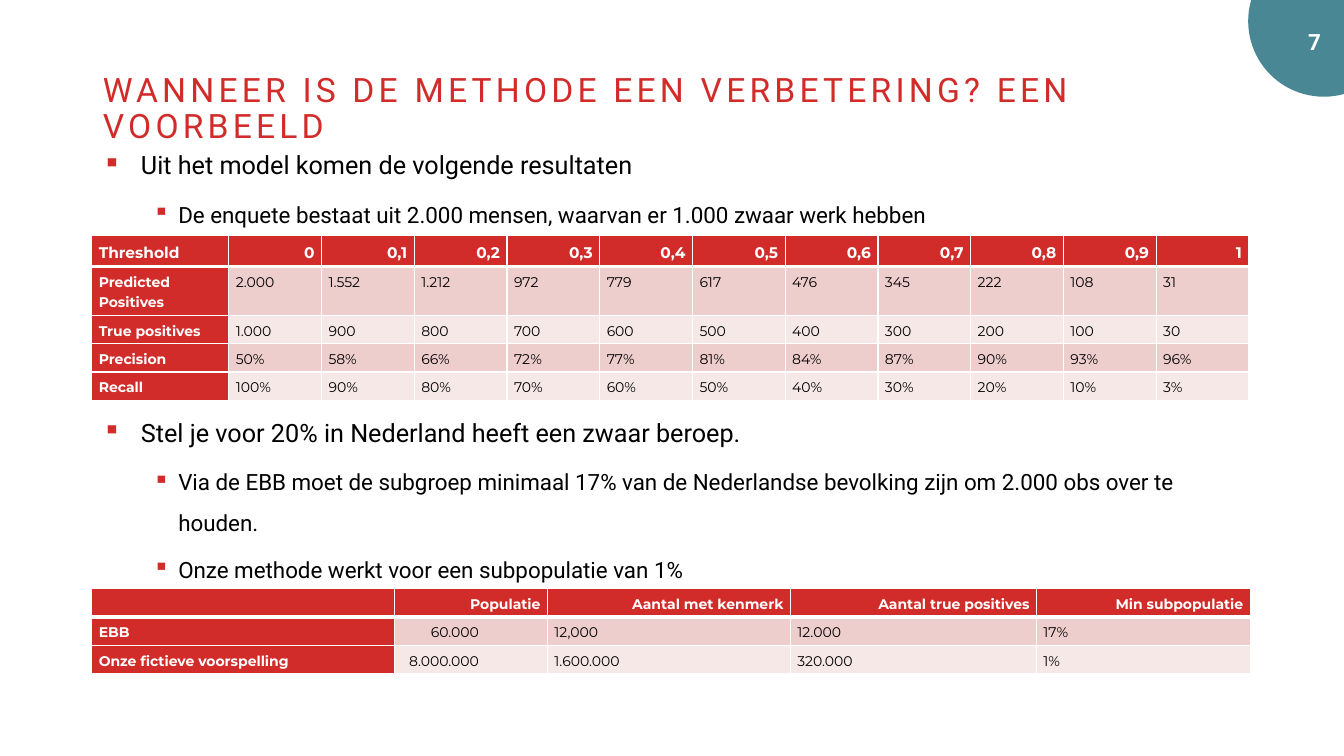
from lxml import etree
from pptx import Presentation
from pptx import util as u
from pptx.dml import color
from pptx.enum import shapes, text
from pptx.oxml import ns

RED, TEAL, WHITE, BLACK = "D22C2A", "498794", "FEFFFE", "000000"
BANDS = ("EECDCD", "F7E8E8")
ALIGN = text.PP_ALIGN


def rgb(hex_code):
    return color.RGBColor.from_string(hex_code)


def apply(target, values):
    for name, value in values.items():
        setattr(target, name, value)


def child(parent, tag, **attributes):
    return etree.SubElement(parent, ns.qn(tag), attributes)


class SlideBuilder:
    frame_format = {"word_wrap": True, "auto_size": text.MSO_AUTO_SIZE.NONE,
                    "vertical_anchor": text.MSO_ANCHOR.TOP}
    cell_margins = {"margin_left": u.Inches(0.07), "margin_right": u.Inches(0.07),
                    "margin_top": u.Inches(0.04), "margin_bottom": u.Inches(0.04)}

    def __init__(self, slide):
        self.slide = slide
        self.fill(slide.background, WHITE)

    def fill(self, target, hex_code):
        target.fill.solid()
        target.fill.fore_color.rgb = rgb(hex_code)

    def run(self, paragraph, words, size, hex_code, font="Roboto", bold=False, spacing=0):
        run = paragraph.add_run()
        run.text = words
        apply(run.font, {"size": u.Pt(size), "name": font, "bold": bold})
        run.font.color.rgb = rgb(hex_code)
        if spacing:
            run.font._element.set("spc", str(int(spacing * 100)))

    def text_box(self, left, top, width, height):
        box = self.slide.shapes.add_textbox(*map(u.Inches, (left, top, width, height)))
        apply(box.text_frame, self.frame_format)
        return box.text_frame

    def title(self, words, left, top, width, height):
        title = self.slide.shapes.title
        apply(title, {"left": u.Inches(left), "top": u.Inches(top),
                      "width": u.Inches(width), "height": u.Inches(height)})
        apply(title.text_frame, self.frame_format)
        paragraph = title.text_frame.paragraphs[0]
        apply(paragraph, {"alignment": ALIGN.LEFT, "line_spacing": 0.9,
                          "space_before": u.Pt(0)})
        self.run(paragraph, words, 24, RED, spacing=3)

    def page_number(self, number):
        circle = self.slide.shapes.add_shape(
            shapes.MSO_SHAPE.OVAL, u.Inches(12.38), u.Inches(-0.54), u.Inches(1.5), u.Inches(1.5))
        circle.shadow.inherit = False
        self.fill(circle, TEAL)
        circle.line.fill.background()
        paragraph = self.text_box(11.39, 0.23, 1.81, 0.37).paragraphs[0]
        paragraph.alignment = ALIGN.RIGHT
        self.run(paragraph, number, 16, WHITE, bold=True, spacing=1.8)

    def bullets(self, points, left, top, width, height):
        frame = self.text_box(left, top, width, height)
        for index, (level, space_before, words) in enumerate(points):
            paragraph = frame.add_paragraph() if index else frame.paragraphs[0]
            size, line_spacing, margin, indent = ((18, 0.9, 0.38, -0.38),
                                                  (16, 1.5, 0.75, -0.25))[level]
            apply(paragraph, {"level": level, "line_spacing": line_spacing,
                              "space_before": u.Pt(space_before)})
            properties = paragraph._p.get_or_add_pPr()
            properties.set("marL", str(u.Inches(margin)))
            properties.set("indent", str(u.Inches(indent)))
            child(child(properties, "a:buClr"), "a:srgbClr", val=RED)
            child(properties, "a:buChar", char="▪")
            self.run(paragraph, words, size, BLACK)

    def borders(self, cell, row):
        top, bottom = (3 if row == 1 else 1), (3 if row == 0 else 1)
        for side, width in (("L", 1), ("R", 1), ("T", top), ("B", bottom)):
            line = child(cell._tc.get_or_add_tcPr(), f"a:ln{side}", w=str(u.Pt(width)))
            child(child(line, "a:solidFill"), "a:srgbClr", val=WHITE)

    def table(self, rows, widths, left, top, corner_size=10, header_size=10, right_margins=None):
        """right_margins maps a column to the margin that sets its right-aligned figures."""
        right_margins = right_margins or {}
        row_height = u.Inches(0.21)
        table = self.slide.shapes.add_table(
            len(rows), len(widths), u.Inches(left), u.Inches(top),
            u.Inches(sum(widths)), row_height * len(rows)).table
        for column, width in zip(table.columns, widths):
            column.width = u.Inches(width)
        for r, values in enumerate(rows):
            table.rows[r].height = row_height
            for c, value in enumerate(values):
                cell = table.cell(r, c)
                heading = r == 0 or c == 0
                apply(cell, self.cell_margins)
                self.borders(cell, r)
                self.fill(cell, RED if heading else BANDS[(r - 1) % 2])
                paragraph = cell.text_frame.paragraphs[0]
                paragraph.line_spacing = 1.2
                if c == 0:
                    paragraph.alignment = ALIGN.LEFT
                elif r == 0:
                    paragraph.alignment = ALIGN.RIGHT
                elif c in right_margins:
                    paragraph.alignment = ALIGN.RIGHT
                    cell.margin_right = u.Inches(right_margins[c])
                else:
                    paragraph.alignment = ALIGN.JUSTIFY
                size = header_size if r == 0 else 10
                if value:
                    self.run(paragraph, value, size, WHITE if heading else BLACK,
                             "Montserrat", heading)
                else:
                    paragraph._p.get_or_add_endParaRPr().set("sz", str(size * 100))


def main():
    deck = Presentation()
    apply(deck, {"slide_width": u.Inches(13.33), "slide_height": u.Inches(7.5)})
    builder = SlideBuilder(deck.slides.add_slide(deck.slide_layouts[5]))

    # Page number and heading
    builder.page_number("7")
    builder.title("WANNEER IS DE METHODE EEN VERBETERING? EEN VOORBEELD", 0.92, 0.68, 11.5, 0.33)

    # Points: level, space before, words; the third leaves room for the results table
    builder.bullets([
        (0, 0, "Uit het model komen de volgende resultaten"),
        (1, 5, "De enquete bestaat uit 2.000 mensen, waarvan er 1.000 zwaar werk hebben"),
        (0, 138, "Stel je voor 20% in Nederland heeft een zwaar beroep."),
        (1, 5, "Via de EBB moet de subgroep minimaal 17% van de Nederlandse bevolking "
               "zijn om 2.000 obs over te houden."),
        (1, 5, "Onze methode werkt voor een subpopulatie van 1%"),
    ], 0.92, 1.47, 11.5, 5.67)

    # Model results per threshold
    results = [
        "Threshold|0|0,1|0,2|0,3|0,4|0,5|0,6|0,7|0,8|0,9|1",
        "Predicted Positives|2.000|1.552|1.212|972|779|617|476|345|222|108|31",
        "True positives|1.000|900|800|700|600|500|400|300|200|100|30",
        "Precision|50%|58%|66%|72%|77%|81%|84%|87%|90%|93%|96%",
        "Recall|100%|90%|80%|70%|60%|50%|40%|30%|20%|10%|3%",
    ]
    builder.table([row.split("|") for row in results], [1.36] + [0.92] * 11,
                  0.91, 2.34, header_size=11)

    # Smallest subpopulation per method
    methods = [
        ("", "Populatie", "Aantal met kenmerk", "Aantal true positives", "Min subpopulatie"),
        ("EBB", "60.000", "12,000", "12.000", "17%"),
        ("Onze fictieve voorspelling", "8.000.000", "1.600.000", "320.000", "1%"),
    ]
    builder.table(methods, [3, 1.52, 2.41, 2.44, 2.12], 0.91, 5.84, right_margins={1: 0.68})

    deck.save("out.pptx")


if __name__ == "__main__":
    main()
